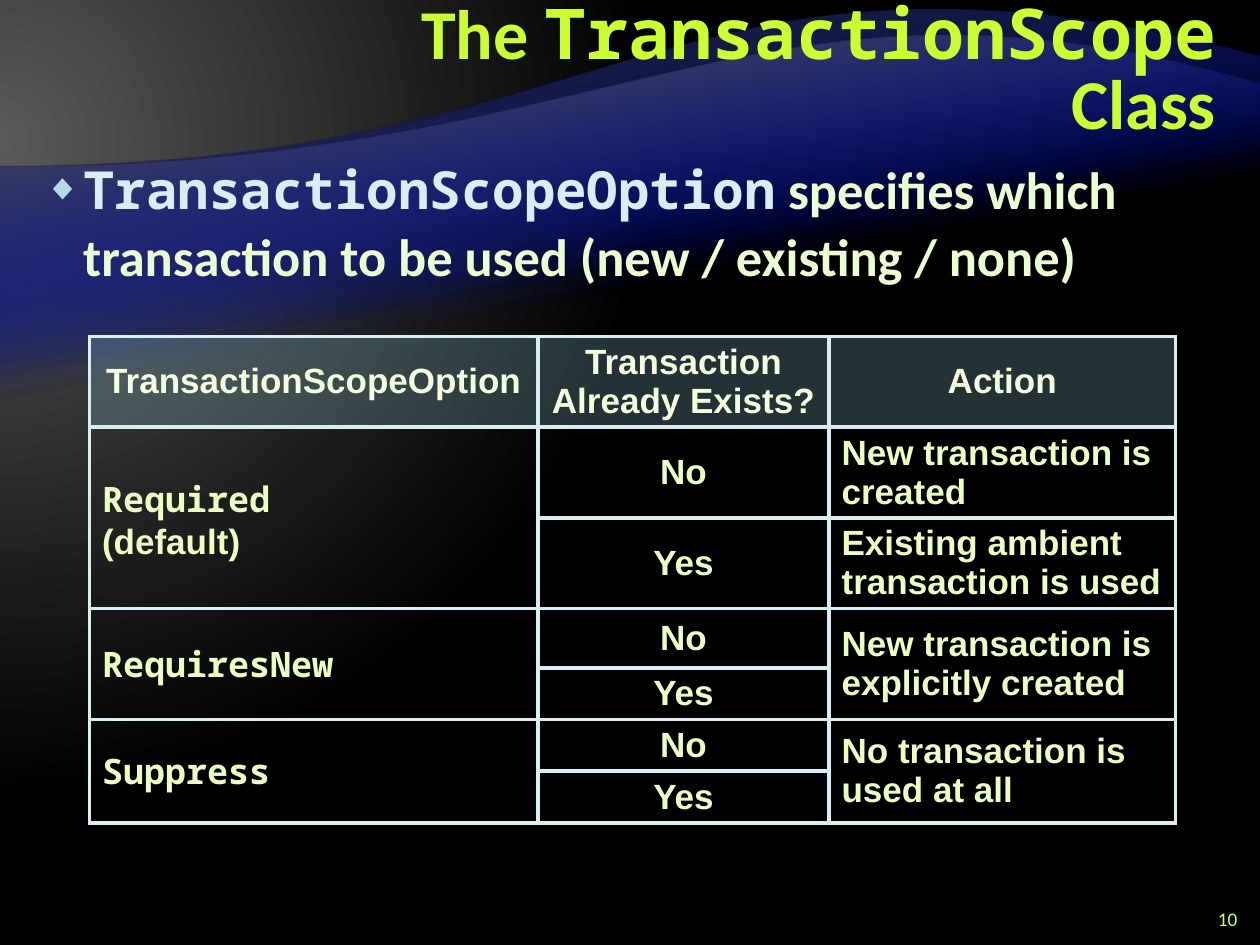
from lxml import etree
from pptx import Presentation
from pptx.dml.color import RGBColor
from pptx.enum.text import MSO_ANCHOR, MSO_AUTO_SIZE, PP_ALIGN
from pptx.oxml import parse_xml
from pptx.oxml.ns import nsdecls, qn
from pptx.util import Inches, Pt

LEFT, CENTER, RIGHT = PP_ALIGN.LEFT, PP_ALIGN.CENTER, PP_ALIGN.RIGHT
TOP, MIDDLE = MSO_ANCHOR.TOP, MSO_ANCHOR.MIDDLE
NO_AUTOFIT = MSO_AUTO_SIZE.NONE
UNITS = 100


def rgb(value):
    return RGBColor.from_string(value)


def apply(target, values):
    for name, value in values.items():
        setattr(target, name, value)


def add_alpha(fill_parent, percent):
    color = fill_parent.find(".//" + qn("a:srgbClr"))
    etree.SubElement(color, qn("a:alpha")).set("val", str(percent * 1000))


def set_gradient(parent, stops, direction):
    marks = "".join(
        f'<a:gs pos="{pos * 1000}"><a:srgbClr val="{color}">'
        f'<a:alpha val="{alpha * 1000}"/></a:srgbClr></a:gs>'
        for pos, color, alpha in stops)
    gradient = parse_xml(f'<a:gradFill {nsdecls("a")} rotWithShape="1">'
                         f'<a:gsLst>{marks}</a:gsLst>{direction}</a:gradFill>')
    parent.replace(parent.find(qn("a:solidFill")), gradient)


class ScopeSlide:
    sans, mono, table_font = "Calibri", "Noto Sans Mono", "Arial"
    title_color, body_color, code_color = "CCFF33", "EBFFD2", "DAEDF2"
    head_color, cell_color, number_color = "F5FFE0", "EBFFC2", "CCFF66"
    bullet_color, head_fill, border = "B5DBE5", "90CAD7", "DAEDF2"

    def __init__(self, deck):
        self.layout = deck.slide_layouts[1]
        self.slide = deck.slides.add_slide(self.layout)

    def background(self, stops, direction):
        self.slide.background.fill.solid()
        set_gradient(self.slide.element.find(".//" + qn("p:bgPr")), stops, direction)

    def wave(self, top, height, shoulder, controls, edge_color):
        builder = self.slide.shapes.build_freeform(0, 0, scale=Inches(1) / UNITS)
        corners = [(10, 0), (10, shoulder), (0, height)]
        builder.add_line_segments([(x * UNITS, y * UNITS) for x, y in corners])
        shape = builder.convert_to_shape(0, Inches(top))
        shape.shadow.inherit = False
        shape.line.fill.background()
        shape.fill.solid()
        set_gradient(shape.element.spPr, [(65, "000D9E", 0), (100, edge_color, 100)],
                     f'<a:lin ang="{80 * 60000}" scaled="0"/>')
        crest = shape.element.findall(".//" + qn("a:lnTo"))[2]
        curve = etree.Element(qn("a:cubicBezTo"))
        for x, y in [*controls, corners[-1]]:
            point = etree.SubElement(curve, qn("a:pt"))
            point.set("x", str(round(x * UNITS)))
            point.set("y", str(round(y * UNITS)))
        crest.getparent().replace(crest, curve)
        shape.rotation = 180
        self.layout.shapes.element.append(shape.element)

    def place(self, shape, box, anchor):
        sides = ("left", "top", "width", "height")
        apply(shape, dict(zip(sides, map(Inches, box))))
        apply(shape.text_frame, {"word_wrap": True, "auto_size": NO_AUTOFIT,
                                 "vertical_anchor": anchor})
        return shape.text_frame.paragraphs[0]

    def add_runs(self, paragraph, runs, size, align=LEFT, bold=True):
        paragraph.alignment = align
        for text, font, color in runs:
            run = paragraph.add_run()
            run.text = text
            apply(run.font, {"name": font, "size": Pt(size), "bold": bold})
            run.font.color.rgb = rgb(color)

    def title(self, box, runs):
        paragraph = self.place(self.slide.shapes.title, box, MIDDLE)
        apply(paragraph, {"line_spacing": Pt(40), "space_before": Pt(0)})
        self.add_runs(paragraph, runs, 40, RIGHT)

    def bullet(self, box, runs):
        paragraph = self.place(self.slide.placeholders[1], box, TOP)
        properties = paragraph._p.get_or_add_pPr()
        properties.set("marL", str(Inches(0.31)))
        properties.set("indent", str(-Inches(0.31)))
        color = etree.SubElement(properties, qn("a:buClr"))
        etree.SubElement(color, qn("a:srgbClr")).set("val", self.bullet_color)
        etree.SubElement(properties, qn("a:buSzPct")).set("val", "70000")
        etree.SubElement(properties, qn("a:buChar")).set("char", "◆")
        apply(paragraph, {"line_spacing": Pt(38), "space_before": Pt(0),
                          "space_after": Pt(6)})
        self.add_runs(paragraph, runs, 30)

    def page_number(self, box, text):
        number = self.slide.shapes.add_textbox(0, 0, 0, 0)
        paragraph = self.place(number, box, MIDDLE)
        self.add_runs(paragraph, [(text, self.sans, self.number_color)], 11, RIGHT, False)

    def cell(self, cell, is_head):
        properties = cell._tc.get_or_add_tcPr()
        for side in ("lnL", "lnR", "lnT", "lnB"):
            line = etree.SubElement(properties, qn(f"a:{side}"), w=str(Pt(2.25)))
            fill = etree.SubElement(line, qn("a:solidFill"))
            etree.SubElement(fill, qn("a:srgbClr")).set("val", self.border)
        cell.vertical_anchor = MIDDLE
        if is_head:
            cell.fill.solid()
            cell.fill.fore_color.rgb = rgb(self.head_fill)
            add_alpha(properties.find(qn("a:solidFill")), 25)
        else:
            cell.fill.background()

    def table(self, left, top, widths, heights, rows, merges):
        table = self.slide.shapes.add_table(
            len(rows), len(widths), Inches(left), Inches(top),
            Inches(sum(widths)), Inches(sum(heights))).table
        apply(table, {"first_row": False, "horz_banding": False})
        for column, width in zip(table.columns, widths):
            column.width = Inches(width)
        for row, height in zip(table.rows, heights):
            row.height = Inches(height)
        for r, texts in enumerate(rows):
            for c, text in enumerate(texts):
                cell = table.cell(r, c)
                self.cell(cell, r == 0)
                color = self.cell_color if r else self.head_color
                align = CENTER if r == 0 or c == 1 else LEFT
                for index, line in enumerate(text.split("\n") if text else []):
                    frame = cell.text_frame
                    paragraph = frame.add_paragraph() if index else frame.paragraphs[0]
                    is_code = r > 0 and c == 0 and index == 0
                    font = self.mono if is_code else self.table_font
                    self.add_runs(paragraph, [(line, font, color)], 20, align)
        for r, c in merges:
            table.cell(r, c).merge(table.cell(r + 1, c))


def main():
    deck = Presentation()
    deck.slide_width, deck.slide_height = Inches(10), Inches(7.5)
    page = ScopeSlide(deck)
    page.background(
        [(0, "595959", 100), (83, "000000", 100)],
        '<a:path path="circle"><a:fillToRect l="20000" t="30000" r="135000" b="100000"/></a:path>')
    for _ in range(2):
        page.wave(0.45, 6.08, 5.2, [(5, 5.2), (4.66, 7.28)], "262626")
        page.wave(0.67, 4.9, 4.24, [(5, 4.24), (4.02, 6.06)], "595959")
    page.title((2, 0.08, 7.75, 1), [
        ("The ", page.sans, page.title_color),
        ("TransactionScope", page.mono, page.title_color),
        (" Class", page.sans, page.title_color)])
    page.bullet((0.25, 1.17, 9.5, 6.17), [
        ("TransactionScopeOption", page.mono, page.code_color),
        (" specifies which transaction to be used (new / existing / none)",
         page.sans, page.body_color)])
    page.page_number((9.42, 7.17, 0.5, 0.25), "10")
    page.table(
        0.71, 2.67, [3.56, 2.31, 2.75], [0.72] * 3 + [0.47] + [0.41] * 3,
        [("TransactionScopeOption", "Transaction Already Exists?", "Action"),
         ("Required\n(default)", "No", "New transaction is created"),
         ("", "Yes", "Existing ambient transaction is used"),
         ("RequiresNew", "No", "New transaction is explicitly created"),
         ("", "Yes", ""),
         ("Suppress", "No", "No transaction is used at all"),
         ("", "Yes", "")],
        [(1, 0), (3, 0), (3, 2), (5, 0), (5, 2)])
    deck.save("out.pptx")


if __name__ == "__main__":
    main()
